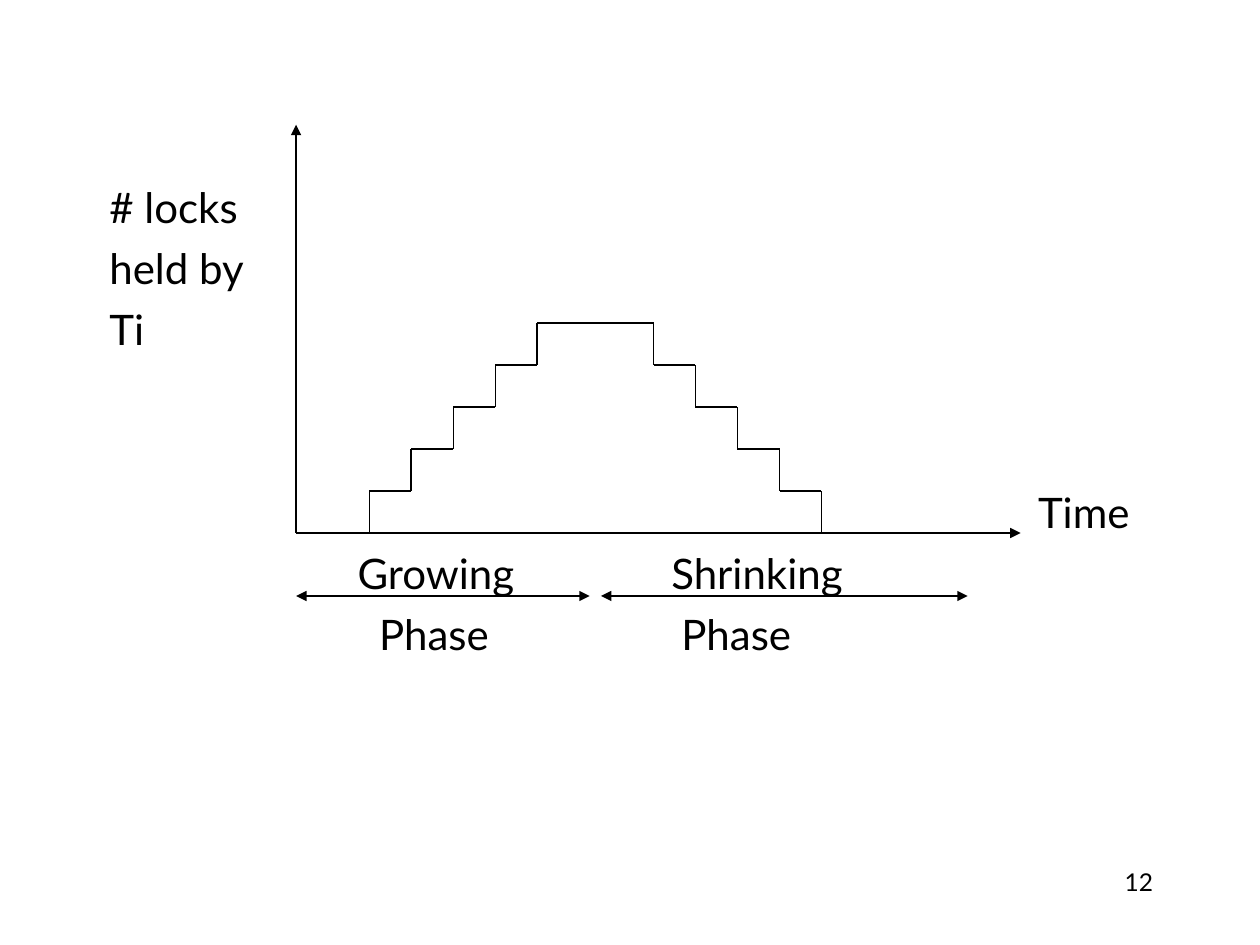
from pptx import Presentation
from pptx.dml.color import RGBColor
from pptx.enum.shapes import MSO_CONNECTOR
from pptx.enum.text import PP_ALIGN
from pptx.oxml.ns import qn
from pptx.util import Inches, Pt
from lxml.etree import SubElement

THEME = {"font": "Lato", "ink": RGBColor(0, 0, 0), "label": 24, "page": 14,
         "line": 0.75, "gap": 6}

deck = Presentation()
deck.slide_width, deck.slide_height = Inches(10), Inches(7.5)
slide = deck.slides.add_slide(deck.slide_layouts[6])


def draw(x1, y1, x2, y2, arrow=False):
    """Draw a thin line, with an arrowhead at its end if asked."""
    line = slide.shapes.add_connector(
        MSO_CONNECTOR.STRAIGHT, Inches(x1), Inches(y1), Inches(x2), Inches(y2))
    line.line.color.rgb = THEME["ink"]
    line.line.width = Pt(THEME["line"])
    props = line._element.spPr
    if arrow:
        SubElement(props.find(qn("a:ln")), qn("a:tailEnd"), type="triangle")
    SubElement(props, qn("a:effectLst"))


def write(x, y, wide, high, rows, size, align=PP_ALIGN.LEFT):
    """Write one paragraph for each (text, left indent) in rows."""
    frame = slide.shapes.add_textbox(
        Inches(x), Inches(y), Inches(wide), Inches(high)).text_frame
    frame.word_wrap = True
    for i, (text, indent) in enumerate(rows):
        para = frame.add_paragraph() if i else frame.paragraphs[0]
        para.alignment = align
        if indent:
            para._p.get_or_add_pPr().set("marL", str(Inches(indent)))
        if i:
            para.space_before = Pt(THEME["gap"])
        run = para.add_run()
        run.text = text
        run.font.name = THEME["font"]
        run.font.size = Pt(size)
        run.font.color.rgb = THEME["ink"]


# Labels sit on the rows of one text grid
top, row = 1.39, 0.485
labels = [
    (0.77, 0, 1.5, [("# locks", 0), ("held by", 0), ("Ti", 0)]),
    (8.14, 5, 1.2, [("Time", 0)]),
    (2.74, 6, 1.6, [("Growing", 0), ("Phase", 0.17)]),
    (5.23, 6, 1.7, [("Shrinking", 0), ("Phase", 0.08)]),
]
for x, n, wide, rows in labels:
    write(x, top + n * row, wide, 0.1 + len(rows) * row, rows, THEME["label"])
write(7.17, 6.83, 2.08, 0.5, [("12", 0)], THEME["page"], PP_ALIGN.RIGHT)

# Axes
left, base = 2.35, 4.23
draw(left, base, 8.1, base, arrow=True)
draw(left, base, left, 0.99, arrow=True)

# Phase spans, each drawn outwards from a point inside it
span = 4.73
for start, mid, end in [(left, 3.18, 4.68), (4.77, 6.43, 7.68)]:
    for tip in (start, end):
        draw(mid, span, tip, span, arrow=True)

# Stairs climb from the left and from the right
step, count = 1 / 3, 5
feet = {1: 2.93, -1: 6.52}
for side, foot in feet.items():
    for i in range(count):
        x, y = foot + side * i * step, base - i * step
        draw(x, y, x, y - step)
        draw(x, y - step, x + side * step, y - step)

# The top tread joins the two flights
peak = base - count * step
draw(feet[1] + count * step, peak, feet[-1] - count * step, peak)

deck.save("out.pptx")
